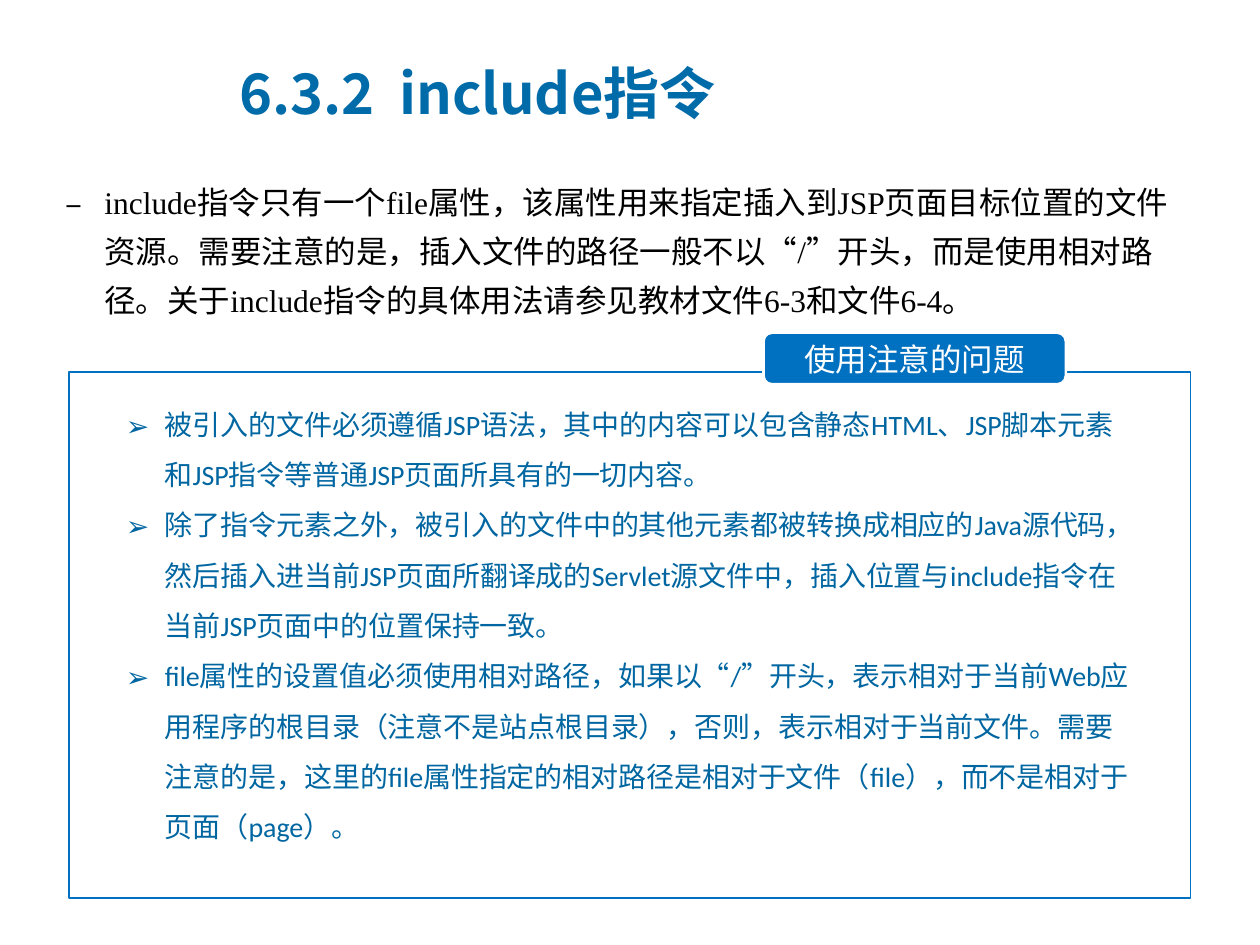
from lxml import etree
from pptx import Presentation
from pptx.dml.color import RGBColor
from pptx.enum.shapes import MSO_SHAPE
from pptx.enum.text import MSO_ANCHOR, PP_ALIGN
from pptx.oxml.ns import qn
from pptx.util import Inches, Pt

RECT, ROUNDED = MSO_SHAPE.RECTANGLE, MSO_SHAPE.ROUNDED_RECTANGLE
TOP, MIDDLE = MSO_ANCHOR.TOP, MSO_ANCHOR.MIDDLE
LEFT, CENTER = PP_ALIGN.LEFT, PP_ALIGN.CENTER

CJK = "Noto Sans CJK SC"
BLUE, WHITE = "0070C0", "FFFFFF"
HANG = 0.31

TITLE = "6.3.2\tinclude指令"
INTRO = ["include指令只有一个file属性，该属性用来指定插入到JSP页面目标位置的文件资源。"
         "需要注意的是，插入文件的路径一般不以“/”开头，而是使用相对路径。"
         "关于include指令的具体用法请参见教材文件6-3和文件6-4。"]
LABEL = "使用注意的问题"
NOTES = [
    "被引入的文件必须遵循JSP语法，其中的内容可以包含静态HTML、JSP脚本元素和JSP指令等普通JSP页面所具有的一切内容。",
    "除了指令元素之外，被引入的文件中的其他元素都被转换成相应的Java源代码，"
    "然后插入进当前JSP页面所翻译成的Servlet源文件中，插入位置与include指令在当前JSP页面中的位置保持一致。",
    "file属性的设置值必须使用相对路径，如果以“/”开头，表示相对于当前Web应用程序的根目录"
    "（注意不是站点根目录），否则，表示相对于当前文件。需要注意的是，"
    "这里的file属性指定的相对路径是相对于文件（file），而不是相对于页面（page）。",
]

# left, top, width, height in inches
TITLE_BOX = (1.8, 0.43, 5.41, 0.61)
INTRO_BOX = (0.42, 1.31, 9.02, 1.28)
FRAME = (0.55, 2.95, 8.9, 4.18)
TAB = (6.06, 2.64, 2.4, 0.41)
NOTES_BOX = (0.9, 3.05, 8.23, 3.74)


def rgb(value):
    return RGBColor.from_string(value)


def add_box(slide, kind, box, fill, line, width):
    sp = slide.shapes.add_shape(kind, *map(Inches, box))
    sp.shadow.inherit = False
    sp.fill.solid()
    sp.fill.fore_color.rgb = rgb(fill)
    sp.line.color.rgb = rgb(line)
    sp.line.width = Pt(width)
    return sp


def add_bullet(p, char):
    pPr = p._p.get_or_add_pPr()
    pPr.set("marL", str(Inches(HANG)))
    pPr.set("indent", str(-Inches(HANG)))
    etree.SubElement(pPr, qn("a:buFont"), typeface=CJK)
    etree.SubElement(pPr, qn("a:buChar"), char=char)


def add_tab_stop(p, pos):
    tabs = etree.SubElement(p._p.get_or_add_pPr(), qn("a:tabLst"))
    etree.SubElement(tabs, qn("a:tab"), pos=str(Inches(pos)), algn="l")


def write(sp, lines, size, color, font=CJK, bold=False, align=LEFT,
          anchor=TOP, spacing=1.0, after=0, bullet=None, tab=None):
    tf = sp.text_frame
    tf.word_wrap = True
    tf.vertical_anchor = anchor
    for i, line in enumerate(lines):
        p = tf.paragraphs[0] if i == 0 else tf.add_paragraph()
        p.alignment, p.line_spacing, p.space_after = align, spacing, Pt(after)
        if bullet:
            add_bullet(p, bullet)
        if tab:
            add_tab_stop(p, tab)
        r = p.add_run()
        r.text = line
        r.font.size, r.font.bold, r.font.name = Pt(size), bold, font
        r.font.color.rgb = rgb(color)
        etree.SubElement(r._r.get_or_add_rPr(), qn("a:ea"), typeface=CJK)


def add_text(slide, box, lines, **style):
    write(slide.shapes.add_textbox(*map(Inches, box)), lines, **style)


def main():
    prs = Presentation()
    prs.slide_width, prs.slide_height = Inches(10), Inches(7.5)
    s = prs.slides.add_slide(prs.slide_layouts[6])

    add_box(s, RECT, FRAME, WHITE, BLUE, 1)
    label = add_box(s, ROUNDED, TAB, BLUE, WHITE, 1.5)
    label.text_frame.margin_top = label.text_frame.margin_bottom = 0
    write(label, [LABEL], size=18, color=WHITE, align=CENTER, anchor=MIDDLE)

    add_text(s, INTRO_BOX, INTRO, size=18, color="000000",
             font="Times New Roman", spacing=1.3, after=6, bullet="–")
    add_text(s, NOTES_BOX, NOTES, size=16, color="0066A1",
             font="Calibri", spacing=1.5, bullet="➢")
    add_text(s, TITLE_BOX, [TITLE], size=32, color="006BA9", bold=True,
             anchor=MIDDLE, tab=1.27)
    prs.save("out.pptx")


if __name__ == "__main__":
    main()
